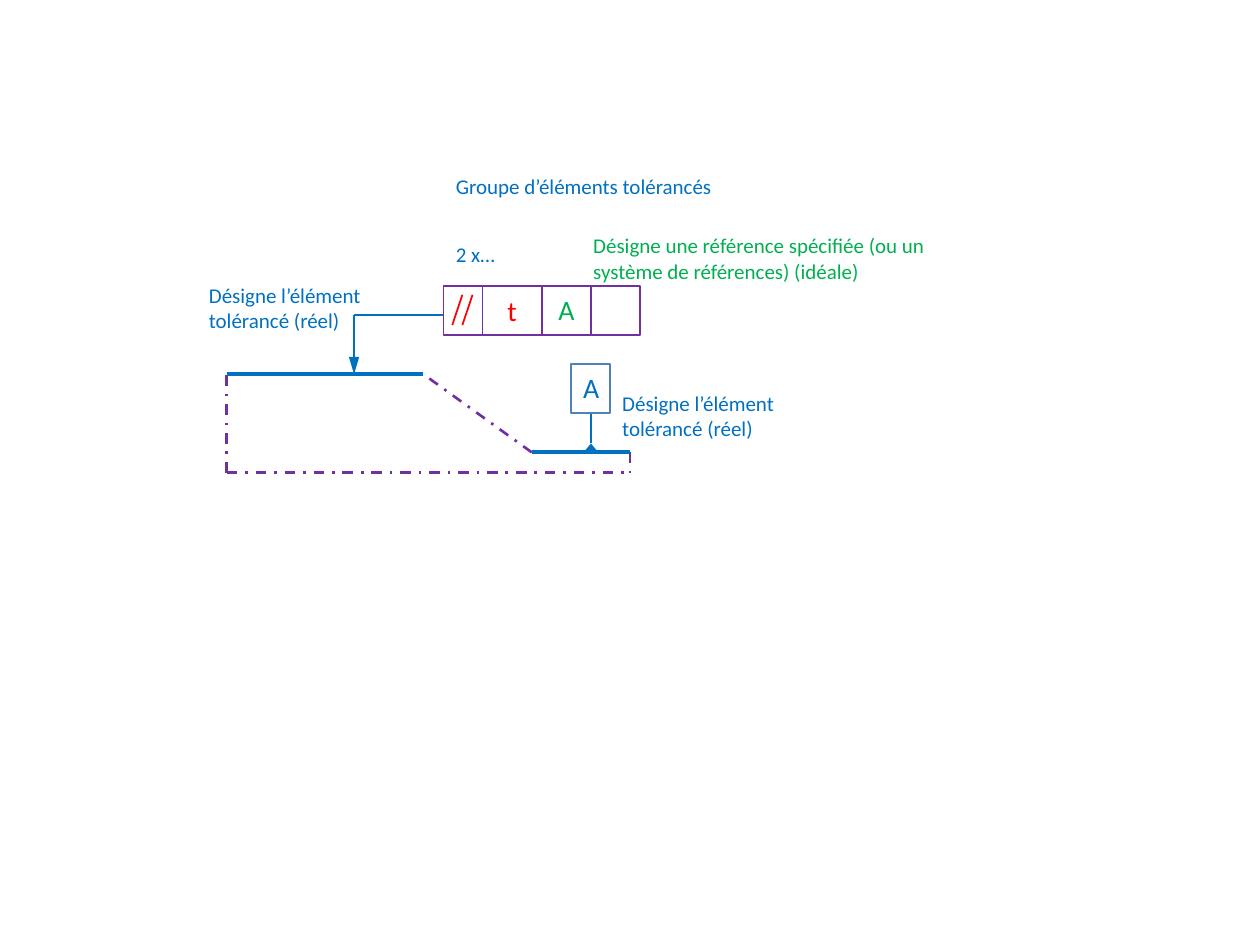
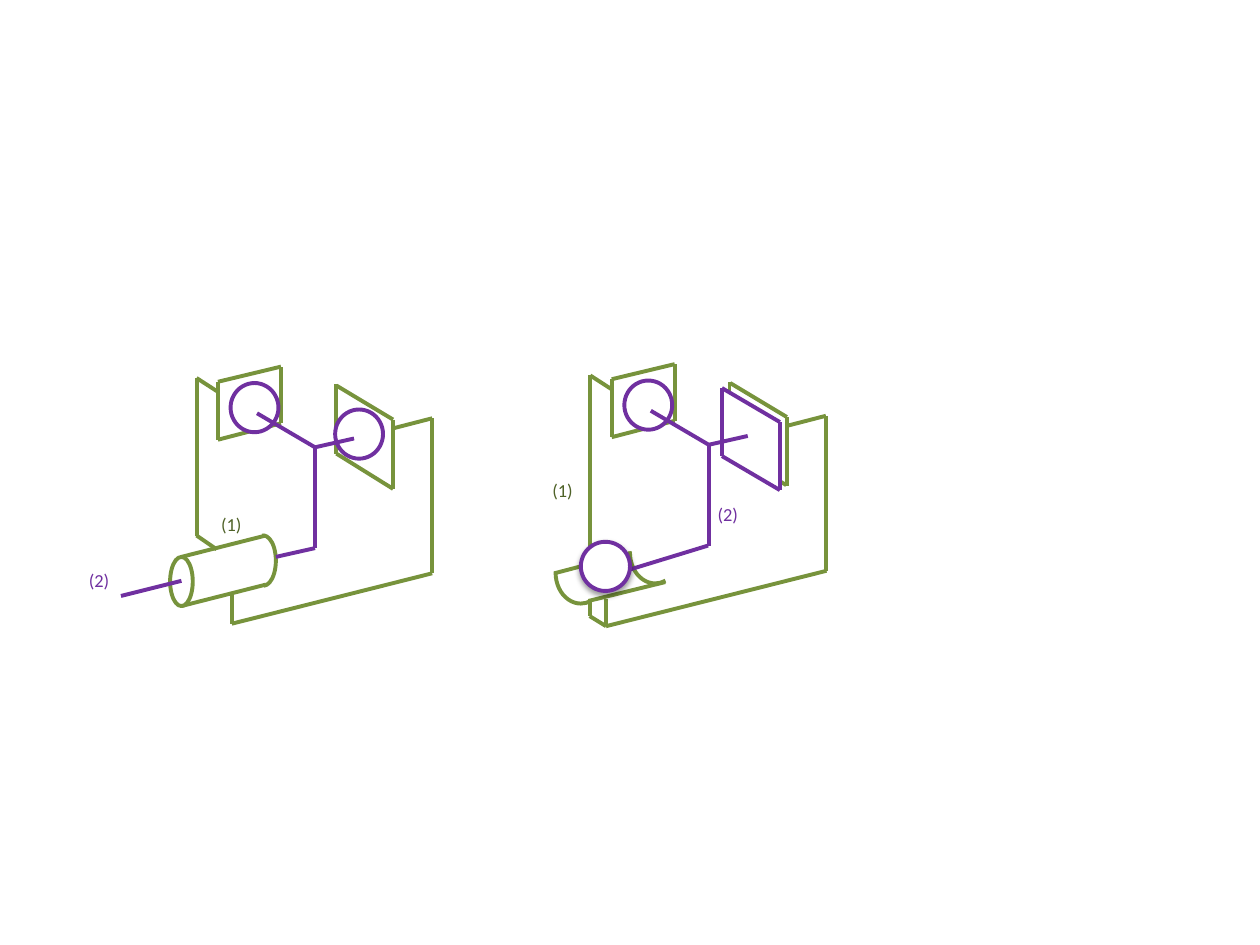
"""Draw a tolerance annotation and two isometric mechanism sketches."""
import pptx
import pptx.util
import pptx.dml.color
import pptx.enum.dml
import pptx.enum.shapes
import pptx.enum.text
import pptx.oxml
import pptx.oxml.ns

COLOURS = {
    "purple": "7030A0", "blue": "0070C0", "red": "FF0000", "green": "00B050",
    "olive": "77933C", "moss": "4F6228", "steel": "4F81BD", "white": "FFFFFF",
}
FONT = "Calibri"
THIN, MEDIUM, THICK = 1, 1.5, 2.25
UNIT = 2.54
MECHANISM_SHIFT = (3.125, -0.02)
KINDS = pptx.enum.shapes.MSO_SHAPE
DASH = pptx.enum.dml.MSO_LINE.DASH_DOT
CENTER = pptx.enum.text.PP_ALIGN.CENTER


def lengths(*values):
    """Convert grid units of 2.54 cm to lengths."""
    return [pptx.util.Cm(value * UNIT) for value in values]


def colour(name):
    """Return the named colour."""
    return pptx.dml.color.RGBColor.from_string(COLOURS[name])


def set_values(target, values):
    """Set attributes from a dict of format values."""
    for name, value in values.items():
        setattr(target, name, value)


def format_line(line, name, width, dash=None):
    """Give an outline its colour, width and dash."""
    line.color.rgb = colour(name)
    set_values(line, {"width": pptx.util.Pt(width), "dash_style": dash})


def add_xml(parent, tag, **attributes):
    """Append a drawing element and return it."""
    element = parent.makeelement(pptx.oxml.ns.qn(tag), attributes)
    parent.append(element)
    return element


def draw_path(shapes, points, name, width=THICK, dash=None, arrow=None):
    """Join consecutive points with straight connectors."""
    for start, end in zip(points, points[1:]):
        connector = shapes.add_connector(
            pptx.enum.shapes.MSO_CONNECTOR.STRAIGHT, *lengths(*start, *end))
        format_line(connector.line, name, width, dash)
        if arrow:
            add_xml(connector.line._get_or_add_ln(), "a:tailEnd",
                    type="triangle", w=arrow[0], len=arrow[1])
        add_xml(connector._element.spPr, "a:effectLst")


def draw_shape(shapes, kind, frame, name, width=THICK, fill=None, angles=()):
    """Draw an outlined preset shape."""
    shape = shapes.add_shape(kind, *lengths(*frame))
    shape.shadow.inherit = False
    format_line(shape.line, name, width)
    if fill:
        shape.fill.solid()
        shape.fill.fore_color.rgb = colour(fill)
    else:
        shape.fill.background()
    for index, angle in enumerate(angles):
        shape.adjustments[index] = angle
    return shape


def draw_text(shapes, frame, text, name, size=12, align=None):
    """Write one paragraph in a wrapping text box."""
    box = shapes.add_textbox(*lengths(*frame))
    set_values(box.text_frame, {
        "word_wrap": True,
        "auto_size": pptx.enum.text.MSO_AUTO_SIZE.SHAPE_TO_FIT_TEXT})
    para = box.text_frame.paragraphs[0]
    para.alignment = align
    span = para.add_run()
    span.text = text
    set_values(span.font, {"name": FONT, "size": pptx.util.Pt(size)})
    span.font.color.rgb = colour(name)


def draw_circle(shapes, left, top, size=0.38):
    """Draw a white ball with a purple outline."""
    return draw_shape(shapes, KINDS.OVAL, (left, top, size, 0.39),
                      "purple", fill="white")


def add_shadow(shape):
    """Add a soft shadow below a shape."""
    effects = shape._element.spPr.find(pptx.oxml.ns.qn("a:effectLst"))
    shadow = add_xml(effects, "a:outerShdw", blurRad="39370", dist="20320",
                     dir="5400000", rotWithShape="0")
    black = add_xml(shadow, "a:srgbClr", val="000000")
    add_xml(black, "a:alpha", val="38000")


def draw_part(shapes):
    """Draw the part outline with its two toleranced faces."""
    top, step, base = 2.97, 3.59, 3.75
    draw_path(shapes, [(1.8, top), (3.36, top)], "purple", MEDIUM)
    for points in ([(1.8, base), (1.8, top)], [(4.22, step), (3.36, top)],
                   [(1.8, base), (5, base)], [(5, step), (5, base)]):
        draw_path(shapes, points, "purple", MEDIUM, DASH)
    draw_path(shapes, [(1.8, top), (3.36, top)], "blue")
    draw_path(shapes, [(4.22, step), (5, step)], "blue")


def draw_tolerance(shapes):
    """Draw the tolerance frame, the leader and the datum."""
    draw_path(shapes, [(2.81, 2.5), (2.81, 2.97)], "blue", THIN,
              arrow=("med", "lg"))
    draw_path(shapes, [(3.52, 2.5), (2.81, 2.5)], "blue", THIN)
    for left, width in ((3.52, 0.78), (3.83, 0.86), (4.3, 0.78)):
        draw_shape(shapes, KINDS.RECTANGLE, (left, 2.27, width, 0.39),
                   "purple", THIN)
    for right in (3.67, 3.75):
        draw_path(shapes, [(right, 2.34), (right - 0.08, 2.58)], "red", THIN)
    draw_path(shapes, [(4.69, 3.59), (4.69, 3.52)], "blue", THIN,
              arrow=("lg", "med"))
    draw_path(shapes, [(4.69, 3.28), (4.69, 3.52)], "blue", THIN)
    draw_shape(shapes, KINDS.RECTANGLE, (4.53, 2.89, 0.31, 0.39),
               "steel", THIN)
    for frame, text, name in (
            ((3.83, 2.28, 0.47, 0.37), "t", "red"),
            ((4.3, 2.27, 0.39, 0.37), "A", "green"),
            ((4.53, 2.89, 0.31, 0.37), "A", "blue")):
        draw_text(shapes, frame, text, name, 16, CENTER)


def draw_captions(shapes):
    """Write the explanations around the tolerance frame."""
    element = "Désigne l’élément tolérancé (réel)"
    for frame, text, name in (
            ((3.52, 1.33, 2.5, 0.3), "Groupe d’éléments tolérancés", "blue"),
            ((3.52, 1.87, 2.03, 0.3), "2 x…", "blue"),
            ((1.56, 2.19, 2.03, 0.5), element, "blue"),
            ((4.84, 3.05, 2.03, 0.5), element, "blue"),
            ((4.61, 1.8, 3.05, 0.5), "Désigne une référence spécifiée (ou un "
             "système de références) (idéale)", "green")):
        draw_text(shapes, frame, text, name)


def shifted(points, shift):
    """Move points by a shift."""
    return [(x + shift[0], y + shift[1]) for x, y in points]


def draw_support(shapes, shift):
    """Draw the fixed frame and plates that both mechanisms share."""
    for points in (
            [(1.73, 3.03), (1.73, 3.49), (2.23, 3.36), (2.23, 2.91),
             (1.73, 3.03)],
            [(2.67, 3.06), (3.12, 3.33), (3.12, 3.88)],
            [(1.56, 3), (1.73, 3.11)],
            [(3.12, 3.4), (3.43, 3.32), (3.43, 4.55)]):
        draw_path(shapes, shifted(points, shift), "olive")


def draw_arms(shapes, shift):
    """Draw the back ball and the moving arms that both mechanisms share."""
    draw_circle(shapes, *shifted([(1.83, 3.04)], shift)[0])
    for points in ([(2.04, 3.28), (2.5, 3.55), (2.5, 4.35)],
                   [(2.81, 3.48), (2.5, 3.55)]):
        draw_path(shapes, shifted(points, shift), "purple")


def draw_labels(shapes, fixed, moving):
    """Number the fixed and the moving part."""
    for corner, text, name in ((fixed, "(1)", "moss"),
                               (moving, "(2)", "purple")):
        draw_text(shapes, (*corner, 0.39, 0.29), text, name, 10.5, CENTER)


def draw_cylinder_mechanism(shapes):
    """Draw the mechanism guided by a cylinder and two balls."""
    draw_support(shapes, (0, 0))
    for points in ([(2.67, 3.05), (2.67, 3.6), (3.12, 3.88)],
                   [(2.11, 4.25), (1.44, 4.42)], [(2.11, 4.64), (1.44, 4.81)],
                   [(1.56, 3), (1.56, 4.25), (1.72, 4.36)],
                   [(3.43, 4.55), (1.84, 4.95), (1.84, 4.71)]):
        draw_path(shapes, points, "olive")
    draw_shape(shapes, KINDS.OVAL, (1.35, 4.42, 0.18, 0.39), "olive",
               fill="white")
    draw_shape(shapes, KINDS.ARC, (1.99, 4.25, 0.2, 0.4), "olive",
               angles=(160.36, 53.32))
    draw_circle(shapes, 2.66, 3.25)
    draw_arms(shapes, (0, 0))
    for points in ([(1.44, 4.61), (0.96, 4.73)], [(2.5, 4.35), (2.19, 4.42)]):
        draw_path(shapes, points, "purple")
    draw_labels(shapes, (1.64, 4.02), (0.59, 4.47))


def draw_trough_mechanism(shapes):
    """Draw the mechanism with a ball in a trough and a flat contact."""
    draw_support(shapes, MECHANISM_SHIFT)
    for points in ([(5.01, 4.39), (4.4, 4.55)], [(5.28, 4.62), (4.67, 4.77)],
                   [(4.68, 2.98), (4.68, 4.51)], [(6.19, 3.82), (6.24, 3.85)],
                   [(5.79, 3.03), (5.79, 3.11)],
                   [(4.68, 4.77), (4.68, 4.89), (4.81, 4.97)],
                   [(6.56, 4.53), (4.81, 4.97), (4.81, 4.75)]):
        draw_path(shapes, points, "olive")
    for left, top in ((4.41, 4.3), (5, 4.14)):
        draw_shape(shapes, KINDS.ARC, (left, top, 0.4, 0.49), "olive",
                   angles=(41.91, 109.47))
    draw_path(shapes, [(5.73, 3.08), (6.19, 3.35), (6.19, 3.89), (5.73, 3.62),
                       (5.73, 3.08)], "purple")
    draw_arms(shapes, MECHANISM_SHIFT)
    draw_path(shapes, [(5.62, 4.33), (5, 4.52)], "purple")
    add_shadow(draw_circle(shapes, 4.61, 4.3, 0.39))
    draw_labels(shapes, (4.27, 3.75), (5.58, 3.94))


def main():
    """Build and save the deck."""
    deck = pptx.Presentation()
    deck.slide_width, deck.slide_height = lengths(10, 7.5)
    blank = deck.slide_layouts[6]
    page = deck.slides.add_slide(blank)
    for draw in (draw_part, draw_tolerance, draw_captions):
        draw(page.shapes)
    page = deck.slides.add_slide(blank)
    for draw in (draw_cylinder_mechanism, draw_trough_mechanism):
        draw(page.shapes.add_group_shape().shapes)
    deck.save("out.pptx")


main()
